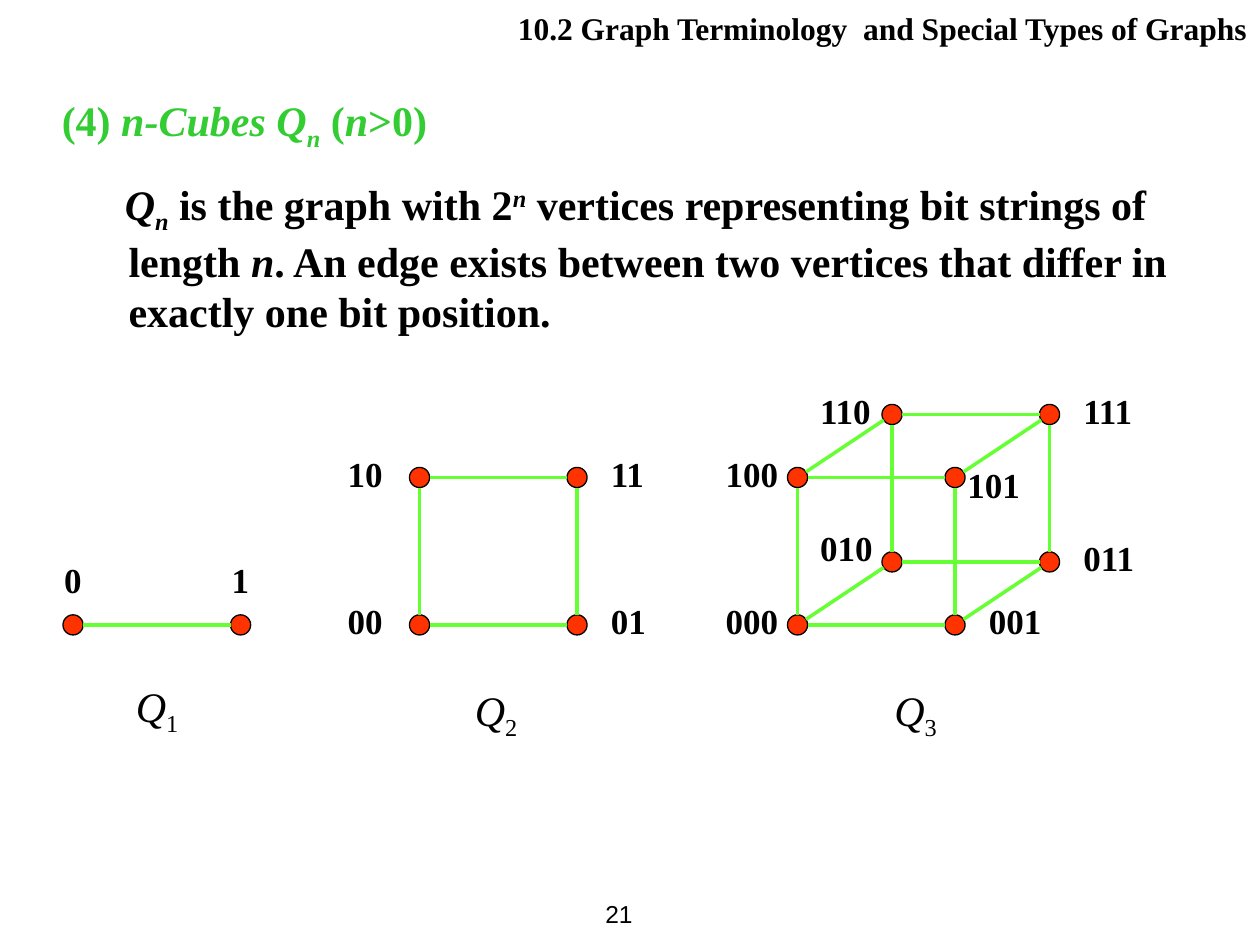
import itertools
import math
from dataclasses import dataclass, field
from typing import Any

import pptx
import pptx.dml.color
import pptx.enum.shapes
import pptx.enum.text
import pptx.oxml.ns
import pptx.util
from lxml import etree

Inches = pptx.util.Inches
Align = pptx.enum.text.PP_ALIGN
Anchor = pptx.enum.text.MSO_ANCHOR
Point = tuple[float, float]


@dataclass(frozen=True)
class Theme:
    text: str = "000000"
    heading: str = "33CC33"
    vertex: str = "FF3300"
    edge: str = "66FF33"
    serif: str = "Times New Roman"
    sans: str = "Arial"
    body_size: int = 24
    label_size: int = 20
    header_size: int = 18
    number_size: int = 14
    outline_width: float = 0.75
    edge_width: int = 2


@dataclass(frozen=True)
class Run:
    text: str
    italic: bool = False
    baseline: int = 0


@dataclass(frozen=True)
class Style:
    size: int
    bold: bool = True
    color: str = "000000"
    font: str = "Times New Roman"


@dataclass(frozen=True)
class Cube:
    """A graph whose steps give the shift for each bit, last bit first."""
    origin: Point
    steps: list[Point]
    caption_at: Point
    label_offsets: dict[str, Point] = field(default_factory=dict)


THEME = Theme()
RADIUS = 0.08
LABEL_SIZE = (0.75, 0.44)
CAPTION_SIZE = (0.75, 0.56)
LEFT, RIGHT, ABOVE = (-0.67, -0.25), (0.17, -0.25), (-0.17, -0.58)
ACROSS, UP, BACK = (1.25, 0), (0, -1.17), (0.75, -0.5)

BODY = Style(THEME.body_size)
HEADING = Style(THEME.body_size, color=THEME.heading)
CAPTION = Style(THEME.body_size, bold=False)
LABEL = Style(THEME.label_size)
HEADER = Style(THEME.header_size)
NUMBER = Style(THEME.number_size, bold=False, font=THEME.sans)

CUBES = [
    Cube((0.58, 4.96), [(1.33, 0)], (0.98, 5.35), {"0": ABOVE, "1": ABOVE}),
    Cube((3.33, 4.96), [ACROSS, UP], (3.67, 5.38)),
    Cube((6.33, 4.96), [ACROSS, BACK, UP], (7, 5.38),
         {"101": (0, -0.16), "010": (-0.67, -0.33)}),
]

HEADING_RUNS = [Run("(4) "), Run("n-Cubes Q", True), Run("n", True, -25),
                Run(" ("), Run("n", True), Run(">0)")]
DEFINITION_RUNS = [
    Run("Q", True), Run("n", True, -25), Run(" is the graph with 2"),
    Run("n", True, 30), Run(" vertices representing bit strings of length "),
    Run("n", True),
    Run(". An edge exists between two vertices that differ in exactly one bit position."),
]


def rgb(color: str) -> pptx.dml.color.RGBColor:
    return pptx.dml.color.RGBColor.from_string(color)


def apply(target: Any, values: dict[str, Any]) -> None:
    for name, value in values.items():
        setattr(target, name, value)


def place(shape: Any, at: Point, size: Point) -> None:
    apply(shape, dict(zip(("left", "top", "width", "height"), map(Inches, at + size))))


def format_frame(shape: Any, anchor: Any = Anchor.TOP) -> None:
    apply(shape.text_frame, {
        "word_wrap": True, "auto_size": pptx.enum.text.MSO_AUTO_SIZE.NONE,
        "vertical_anchor": anchor,
    })


def write_runs(paragraph: Any, runs: list[Run], style: Style,
               align: Any = Align.LEFT, space_before: float = 0) -> None:
    apply(paragraph, {"alignment": align, "space_before": pptx.util.Pt(space_before)})
    for part in runs:
        run = paragraph.add_run()
        run.text = part.text
        apply(run.font, {"size": pptx.util.Pt(style.size), "name": style.font,
                         "bold": style.bold, "italic": part.italic})
        run.font.color.rgb = rgb(style.color)
        if part.baseline:
            run.font._element.set("baseline", str(part.baseline * 1000))


def indent(paragraph: Any, margin: float, first_line: float) -> None:
    """Set a hanging indent and switch the bullet off."""
    properties = paragraph._p.get_or_add_pPr()
    properties.set("marL", str(Inches(margin)))
    properties.set("indent", str(Inches(first_line)))
    etree.SubElement(properties, pptx.oxml.ns.qn("a:buNone"))


def add_text(shapes: Any, at: Point, size: Point, runs: list[Run], style: Style,
             align: Any = Align.LEFT, anchor: Any = Anchor.TOP) -> None:
    box = shapes.add_textbox(*map(Inches, at + size))
    format_frame(box, anchor)
    write_runs(box.text_frame.paragraphs[0], runs, style, align)


def add_vertex(shapes: Any, center: Point) -> None:
    shape = shapes.add_shape(
        pptx.enum.shapes.MSO_SHAPE.FLOWCHART_CONNECTOR,
        Inches(center[0] - RADIUS), Inches(center[1] - RADIUS),
        Inches(2 * RADIUS), Inches(2 * RADIUS))
    shape.shadow.inherit = False
    shape.fill.solid()
    shape.fill.fore_color.rgb = rgb(THEME.vertex)
    shape.line.color.rgb = rgb(THEME.text)
    shape.line.width = pptx.util.Pt(THEME.outline_width)


def add_edge(shapes: Any, start: Point, end: Point) -> None:
    """Join two vertices from rim to rim."""
    share = RADIUS / math.dist(start, end)
    shift = [share * (b - a) for a, b in zip(start, end)]
    line = shapes.add_connector(
        pptx.enum.shapes.MSO_CONNECTOR.STRAIGHT,
        Inches(start[0] + shift[0]), Inches(start[1] + shift[1]),
        Inches(end[0] - shift[0]), Inches(end[1] - shift[1]))
    line.line.color.rgb = rgb(THEME.edge)
    line.line.width = pptx.util.Pt(THEME.edge_width)
    etree.SubElement(line._element.spPr, pptx.oxml.ns.qn("a:effectLst"))


def add_cube(slide: Any, cube: Cube) -> None:
    dimension = len(cube.steps)
    centers: dict[str, Point] = {}
    for bits in map("".join, itertools.product("01", repeat=dimension)):
        used = [step for bit, step in zip(reversed(bits), cube.steps) if bit == "1"]
        centers[bits] = (cube.origin[0] + sum(step[0] for step in used),
                         cube.origin[1] + sum(step[1] for step in used))
    shapes = slide.shapes.add_group_shape().shapes
    for center in centers.values():
        add_vertex(shapes, center)
    for first, second in itertools.combinations(centers, 2):
        if sum(a != b for a, b in zip(first, second)) == 1:
            add_edge(shapes, centers[first], centers[second])
    for bits, (x, y) in centers.items():
        side = RIGHT if bits.endswith("1") else LEFT
        dx, dy = cube.label_offsets.get(bits, side)
        add_text(shapes, (x + dx, y + dy), LABEL_SIZE, [Run(bits)], LABEL)
    add_text(slide.shapes, cube.caption_at, CAPTION_SIZE,
             [Run("Q", True), Run(str(dimension), False, -25)], CAPTION)


def main() -> None:
    presentation = pptx.Presentation()
    apply(presentation, {"slide_width": Inches(10), "slide_height": Inches(7.5)})
    slide = presentation.slides.add_slide(presentation.slide_layouts[1])
    title, body = slide.shapes.title, slide.placeholders[1]

    place(title, (3.98, 0.02), (6.02, 0.7))
    format_frame(title)
    write_runs(title.text_frame.paragraphs[0],
               [Run("10.2 Graph Terminology  and Special Types of Graphs")],
               HEADER, Align.RIGHT)

    place(body, (0.39, 0.7), (9.21, 2.02))
    format_frame(body)
    heading, definition = body.text_frame.paragraphs[0], body.text_frame.add_paragraph()
    write_runs(heading, HEADING_RUNS, HEADING)
    indent(heading, 0.53, -0.53)
    write_runs(definition, DEFINITION_RUNS, BODY, space_before=15)
    indent(definition, 0.53, -0.03)

    for cube in CUBES:
        add_cube(slide, cube)
    add_text(slide.shapes, (4.45, 7), (0.67, 0.5), [Run("21")], NUMBER,
             Align.RIGHT, Anchor.MIDDLE)
    presentation.save("out.pptx")


if __name__ == "__main__":
    main()
